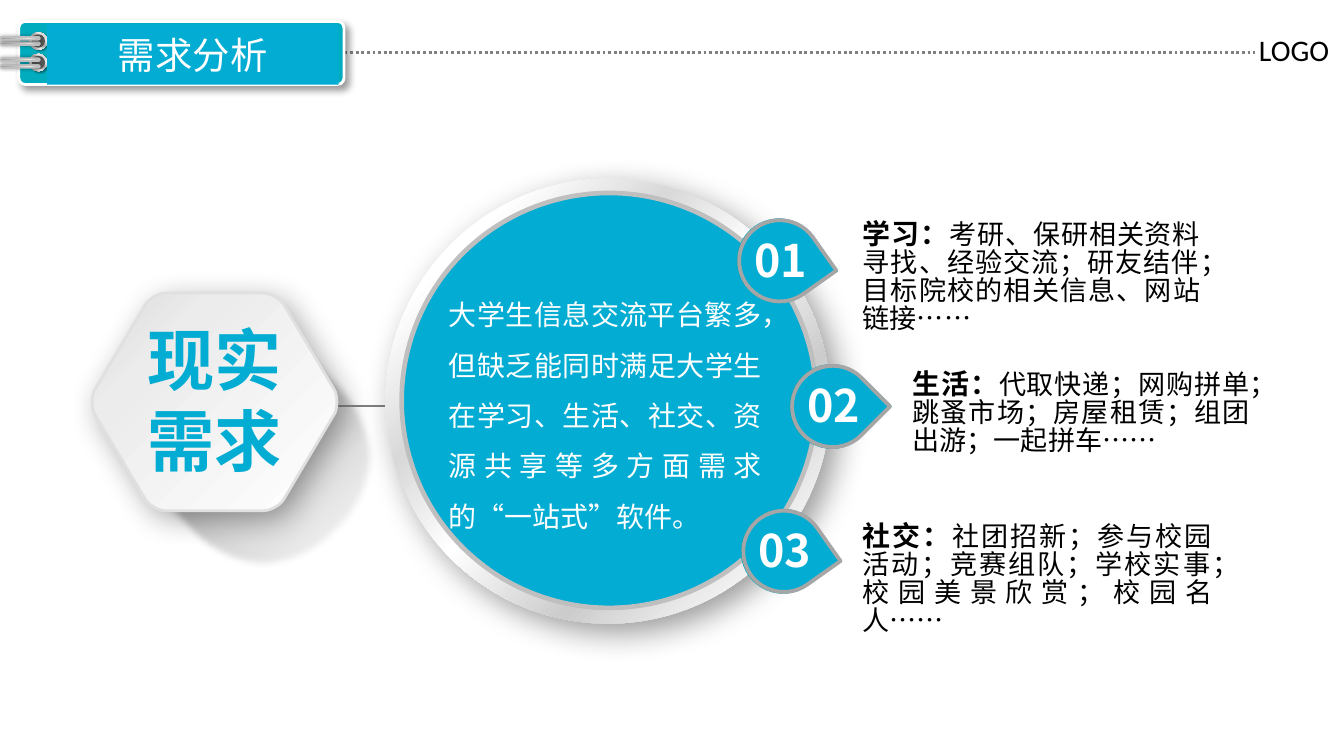
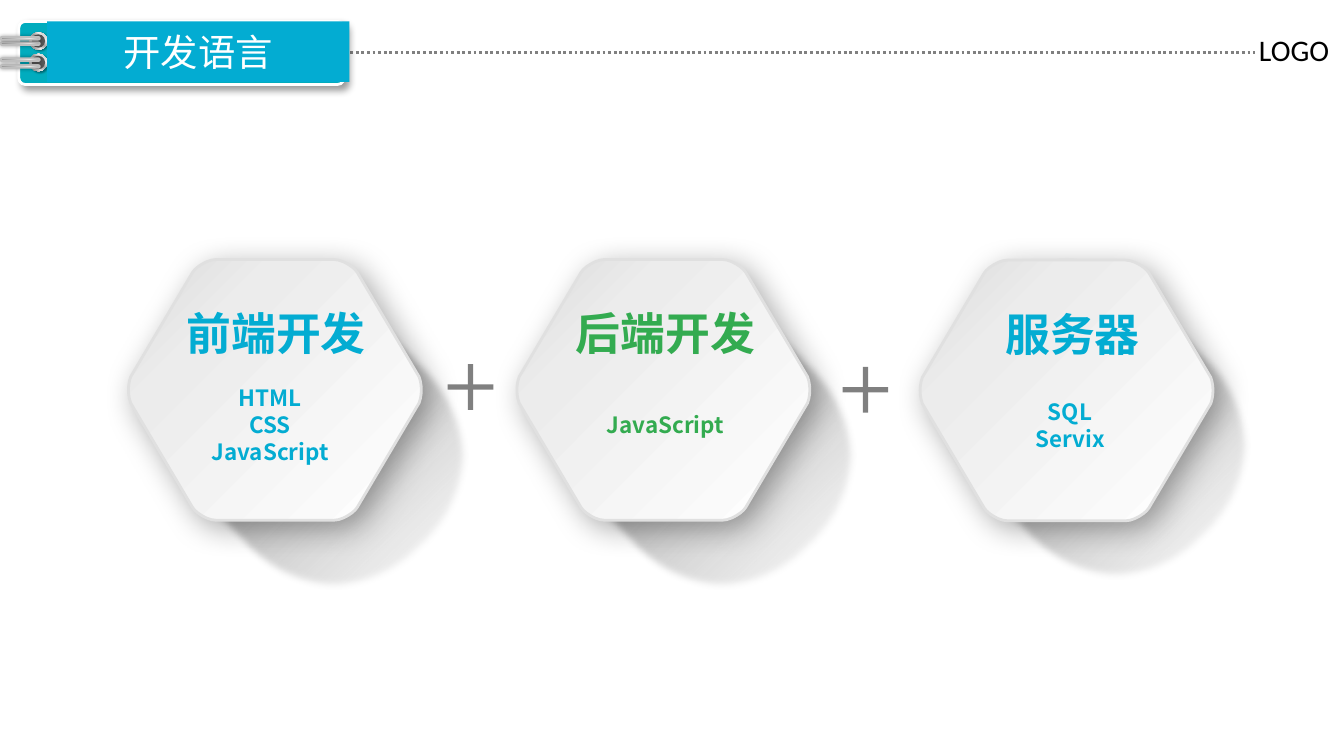
from dataclasses import dataclass

from lxml.etree import SubElement
from pptx import Presentation
from pptx.dml.color import RGBColor
from pptx.enum.dml import MSO_LINE
from pptx.enum.shapes import MSO_CONNECTOR, MSO_SHAPE as SHAPE
from pptx.enum.text import MSO_ANCHOR, MSO_AUTO_SIZE, PP_ALIGN as ALIGN
from pptx.oxml import parse_xml
from pptx.oxml.ns import nsdecls, qn
from pptx.util import Pt


@dataclass(frozen=True)
class Theme:
    blue: str = "03ACD2"
    teal: str = "01ACBE"
    drop_edge: str = "01A7B8"
    green: str = "33AB50"
    white: str = "FFFFFF"
    black: str = "000000"
    grey: str = "808080"
    dark: str = "595959"
    outline: str = "A6A6A6"
    soft_outline: str = "BFBFBF"
    tile_outline: str = "E0E0E0"
    font: str = "Noto Sans CJK SC"
    title_font: str = "Noto Sans CJK JP"
    logo_font: str = "Calibri"
    title_size: float = 20
    tile_size: float = 36
    heading_size: float = 24
    lead_size: float = 15
    body_size: float = 14.5
    list_size: float = 12
    logo_size: float = 16
    ring: tuple = ((0, "FFFFFF"), (17, "A6A6A6"), (35, "F2F2F2"), (55, "A6A6A6"),
                   (75, "F2F2F2"), (100, "A6A6A6"))
    rod: tuple = ((0, "808080"), (23, "A6A6A6"), (52, "D9D9D9"), (74, "FFFFFF"), (100, "A6A6A6"))
    rim: tuple = ((16, "FFFFFF"), (33, "D9D9D9"), (49, "FFFFFF"), (69, "CCCCCC"), (91, "FFFFFF"))
    tile: tuple = ((0, "FFFFFF"), (73, "ECECEC"), (100, "D9D9D9"))
    shade: tuple = ((0, "000000"), (100, "E8E8E8", 0))


THEME = Theme()


def rgb(color):
    return RGBColor.from_string(color)


def points(box):
    return [Pt(length) for length in box]


def set_gradient(shape, stops, angle):
    properties = shape.element.spPr
    shape.fill.background()
    gradient = parse_xml(f'<a:gradFill {nsdecls("a")} rotWithShape="1"><a:gsLst/>'
                         f'<a:lin ang="{angle * 60000}" scaled="0"/></a:gradFill>')
    for position, color, *alpha in stops:
        stop = SubElement(gradient[0], qn("a:gs"), pos=str(position * 1000))
        value = SubElement(stop, qn("a:srgbClr"), val=color)
        if alpha:
            SubElement(value, qn("a:alpha"), val=str(alpha[0] * 1000))
    properties.replace(properties.find(qn("a:noFill")), gradient)


def set_shadow(shape, alpha, blur, distance, angle):
    effects = shape.element.spPr.find(qn("a:effectLst"))
    shadow = SubElement(effects, qn("a:outerShdw"), blurRad=str(Pt(blur)), dist=str(Pt(distance)),
                        dir=str(angle * 60000), algn="ctr", rotWithShape="0")
    color = SubElement(shadow, qn("a:srgbClr"), val=THEME.black)
    SubElement(color, qn("a:alpha"), val=str(alpha * 1000))


def paint(shape, fill, line=None, line_width=1, angle=45, shadow=None):
    """Fill with a colour or gradient stops, and replace the default line and shadow."""
    if isinstance(fill, str):
        shape.fill.solid()
        shape.fill.fore_color.rgb = rgb(fill)
    else:
        set_gradient(shape, fill, angle)
    if line:
        shape.line.color.rgb = rgb(line)
        shape.line.width = Pt(line_width)
    else:
        shape.line.fill.background()
    shape.shadow.inherit = False
    if shadow:
        set_shadow(shape, *shadow)


def add_painted(slide, kind, box, fill, rotation=0, adjust=None, **style):
    shape = slide.shapes.add_shape(kind, *points(box))
    if adjust is not None:
        shape.adjustments[0] = adjust
    shape.rotation = rotation
    paint(shape, fill, **style)
    return shape


def add_rule(slide, start, end, width):
    rule = slide.shapes.add_connector(MSO_CONNECTOR.STRAIGHT, *points(start + end))
    rule.line.color.rgb = rgb(THEME.grey)
    rule.line.width = Pt(width)
    SubElement(rule.element.spPr, qn("a:effectLst"))
    return rule


def style_paragraph(paragraph, size, color, bold=None, font=THEME.font, align=None):
    paragraph.alignment = align
    paragraph.font.size = Pt(size)
    paragraph.font.bold = bold
    paragraph.font.color.rgb = rgb(color)
    paragraph.font.name = font
    latin = paragraph._p.pPr.find(qn("a:defRPr")).find(qn("a:latin"))
    latin.addnext(parse_xml(f'<a:ea {nsdecls("a")} typeface="{font}"/>'))


def add_text(slide, box, lines, size, color, wrap=True, inset=True, **style):
    frame = slide.shapes.add_textbox(*points(box)).text_frame
    frame.word_wrap = wrap
    frame.auto_size = MSO_AUTO_SIZE.SHAPE_TO_FIT_TEXT
    if not inset:
        frame.margin_left = frame.margin_right = frame.margin_top = frame.margin_bottom = 0
    frame.text = "\n".join(lines)
    for paragraph in frame.paragraphs:
        style_paragraph(paragraph, size, color, **style)
    return frame


def add_binder_band(slide, left, top):
    """Title card with two binder rings, a dotted rule and the logo word."""
    rule = add_rule(slide, (178.6, top + 16.6), (672.5, top + 16.6), 1.5)
    rule.line.dash_style = MSO_LINE.ROUND_DOT
    add_painted(slide, SHAPE.ROUNDED_RECTANGLE, (left, top, 174.2, 33.8), THEME.teal, adjust=0.1,
                line=THEME.white, line_width=1.5, shadow=(40, 4, 3, 45))
    for ring_top in (17.3, 5.8):
        add_painted(slide, SHAPE.OVAL, (left + 5.8, top + ring_top, 9.4, 9.4), THEME.ring,
                    rotation=270, shadow=(40, 1, 1, 45))
        add_painted(slide, SHAPE.OVAL, (left + 6.9, top + ring_top + 1.1, 7.2, 7.2), THEME.dark)
    for rod_top in (23.4, 19.8, 11.2, 8.3):
        add_painted(slide, SHAPE.ROUNDED_RECTANGLE, (left - 9.7, top + rod_top, 20.9, 1.4),
                    THEME.rod, angle=0, adjust=0.5, line=THEME.soft_outline,
                    shadow=(40, 2, 0, 0))
    add_text(slide, (667.4, top + 2.2, 52.6, 26.6), ["LOGO"], THEME.logo_size, THEME.black,
             wrap=False, font=THEME.logo_font)


def move_to_layout(slide, layout):
    """Hand the shapes drawn so far to the layout, so that every slide shows them."""
    for number, shape in enumerate(list(slide.shapes)):
        if not shape.is_placeholder:
            shape.element.xpath(".//p:cNvPr")[0].set("id", str(100 + number))
            layout.shapes.element.append(shape.element)


def set_title(slide, text, box):
    title = slide.shapes.title
    title.left, title.top, title.width, title.height = points(box)
    title.fill.solid()
    title.fill.fore_color.rgb = rgb(THEME.blue)
    frame = title.text_frame
    frame.text = text
    frame.vertical_anchor = MSO_ANCHOR.MIDDLE
    frame.margin_left = frame.margin_right = Pt(5)
    frame.margin_top = frame.margin_bottom = Pt(3)
    style_paragraph(frame.paragraphs[0], THEME.title_size, THEME.white,
                    font=THEME.title_font, align=ALIGN.CENTER)


def bezier(nodes, steps=6):
    for step in range(steps + 1):
        t = step / steps
        weights = ((1 - t) ** 3, 3 * t * (1 - t) ** 2, 3 * t * t * (1 - t), t ** 3)
        yield tuple(sum(w * node[axis] for w, node in zip(weights, nodes)) for axis in (0, 1))


def hexagon_outline():
    """Rounded hexagon in a unit square, mirrored from its upper right quarter."""
    shoulder = bezier([(0.7, 0), (0.73, 0), (0.77, 0.03), (0.78, 0.05)])
    side = bezier([(0.99, 0.45), (1, 0.48), (1, 0.52), (0.99, 0.55)])
    upper = [*shoulder, *list(side)[:4]]
    right = upper + [(x, 1 - y) for x, y in reversed(upper[:-1])]
    return right + [(1 - x, y) for x, y in reversed(right)]


def add_hexagon_tile(slide, box, shade_shift=(0.04, 0.14)):
    left, top, width, height = box
    shade = add_painted(slide, SHAPE.ROUNDED_RECTANGLE,
                        (left + shade_shift[0] * width, top + shade_shift[1] * height,
                         1.15 * width, 1.02 * height),
                        THEME.shade, rotation=46, adjust=0.48, angle=0)
    SubElement(shade.element.spPr.find(qn("a:effectLst")), qn("a:softEdge"), rad=str(Pt(4)))
    corners = [(Pt(left + x * width), Pt(top + y * height)) for x, y in hexagon_outline()]
    builder = slide.shapes.build_freeform(*corners[0])
    builder.add_line_segments(corners[1:], close=True)
    plate = builder.convert_to_shape()
    plate.rotation = 180
    paint(plate, THEME.tile, line=THEME.tile_outline, line_width=1.5, shadow=(32, 16, 5, 45))


def add_disc(slide, left, top, size, text):
    add_painted(slide, SHAPE.OVAL, (left, top, size, size), THEME.rim, shadow=(40, 17, 7, 45))
    add_painted(slide, SHAPE.OVAL, (left + 8.6, top + 7.6, size - 16, size - 16), THEME.blue,
                line=THEME.soft_outline, line_width=2.5)
    frame = add_text(slide, (left + 33.8, top + 54.7, 167.8, 133.2), [text], THEME.lead_size,
                     THEME.white, inset=False, align=ALIGN.JUSTIFY)
    frame.paragraphs[0].line_spacing = 1.5


def add_numbered_drop(slide, left, top, number, rotation, size=43.5):
    add_painted(slide, SHAPE.TEAR, (left - 1.4, top - 1, size + 2, size + 2), THEME.drop_edge,
                rotation=rotation)
    add_painted(slide, SHAPE.TEAR, (left, top, size, size), THEME.blue, rotation=rotation,
                line=THEME.outline, line_width=2)
    add_text(slide, (left + 1, top + 3, 44.6, 36), [f"{number:02}"], THEME.heading_size,
             THEME.white, wrap=False, bold=True)


def add_need(slide, box, lead, detail):
    frame = add_text(slide, box, [lead], THEME.body_size, THEME.black, inset=False,
                     align=ALIGN.JUSTIFY)
    paragraph = frame.paragraphs[0]
    paragraph.line_spacing = Pt(15)
    lead_run = paragraph.runs[0]
    lead_run.font.bold = True
    lead_run.font.size = Pt(THEME.lead_size)
    paragraph.add_run().text = detail


def add_plus(slide, left, top):
    for rotation in (0, 90):
        add_painted(slide, SHAPE.RECTANGLE, (left, top, 24.5, 2.9), THEME.grey, rotation=rotation)


def build_needs(slide):
    set_title(slide, "需求分析", (25.2, 13, 156.2, 32.4))
    link = add_rule(slide, (171.4, 217.4), (211.7, 217.4), 1)
    for end in ("headEnd", "tailEnd"):
        SubElement(link.element.spPr.find(qn("a:ln")), qn(f"a:{end}"), type="oval")
    add_disc(slide, 206.6, 95.8, 238.3,
             "大学生信息交流平台繁多，但缺乏能同时满足大学生在学习、生活、社交、"
             "资源共享等多方面需求的“一站式”软件。")
    add_hexagon_tile(slide, (49, 157, 131.8, 116.6))
    add_text(slide, (68.4, 167, 92.9, 94.3), ["现实", "需求"], THEME.tile_size, THEME.blue,
             bold=True, align=ALIGN.CENTER)
    needs = [
        ((396, 118), 54.7, (462.2, 118.8, 180.7, 60.5), "学习：",
         "考研、保研相关资料寻找、经验交流；研友结伴；目标院校的相关信息、网站链接……"),
        ((424.3, 196), 45, (488.9, 199.4, 180.7, 45.4), "生活：",
         "代取快递；网购拼单；跳蚤市场；房屋租赁；组团出游；一起拼车……"),
        ((398.2, 273.6), 54.7, (462.2, 280.8, 187.2, 45.4), "社交：",
         "社团招新；参与校园活动；竞赛组队；学校实事；校园美景欣赏；校园名人……"),
    ]
    for number, (corner, rotation, box, lead, detail) in enumerate(needs, 1):
        add_numbered_drop(slide, *corner, number, rotation)
        add_need(slide, box, lead, detail)


def add_stack_tile(slide, left, top, heading, heading_span, items, items_span, color, **shade):
    """Hexagon with a heading and a list centred on one line; spans are (offset, width)."""
    add_hexagon_tile(slide, (left, top, 157.7, 139.7), **shade)
    style = dict(color=color, bold=True, inset=False, align=ALIGN.CENTER)
    offset, width = heading_span
    add_text(slide, (left + offset, top + 25, width, 28.8), [heading], THEME.heading_size, **style)
    offset, width = items_span
    height = 14.5 * len(items)
    add_text(slide, (left + offset, top + 88.5 - height / 2, width, height), items,
             THEME.list_size, **style)


def build_languages(slide):
    set_title(slide, "开发语言", (25.2, 11.5, 162, 32.4))
    add_stack_tile(slide, 492.5, 139.3, "服务器", (36, 92.2), ["SQL", "Servix"], (34.6, 92.2),
                   THEME.blue, shade_shift=(0.01, 0.1))
    add_stack_tile(slide, 276.5, 139, "后端开发", (27.4, 105.1), ["JavaScript"], (33.8, 92.2),
                   THEME.green)
    add_stack_tile(slide, 68.4, 139, "前端开发", (18.7, 121.7), ["HTML", "CSS", "JavaScript"],
                   (22.3, 108), THEME.blue)
    add_plus(slide, 239.8, 205.9)
    add_plus(slide, 451.4, 207.4)


def main():
    presentation = Presentation()
    presentation.slide_width, presentation.slide_height = Pt(720), Pt(405)
    layout = presentation.slide_layouts[5]
    needs, languages = (presentation.slides.add_slide(layout) for _ in range(2))
    add_binder_band(needs, 10.1, 11.5)
    move_to_layout(needs, layout)
    build_needs(needs)
    build_languages(languages)
    presentation.save("out.pptx")


if __name__ == "__main__":
    main()
